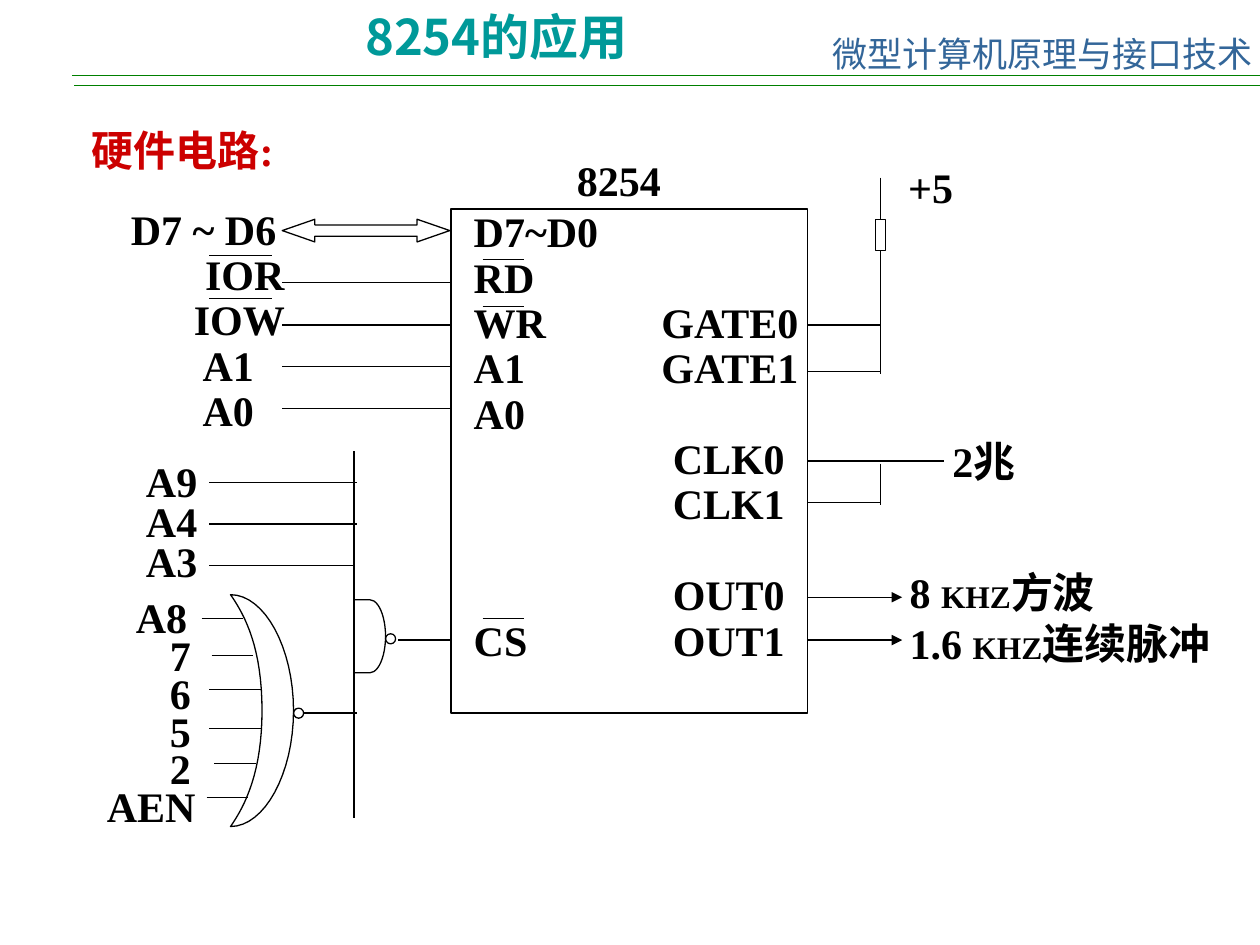
"""Builds the slide with the 8254 hardware circuit."""
from lxml.etree import SubElement
from pptx import Presentation
from pptx.dml.color import RGBColor
from pptx.enum.shapes import MSO_CONNECTOR, MSO_SHAPE
from pptx.enum.text import MSO_ANCHOR, PP_ALIGN
from pptx.oxml.ns import qn
from pptx.util import Inches, Pt

COLORS = {"ink": "000000", "rule": "008000", "header": "336699",
          "heading": "CC0000", "title": "009999"}
SERIF, SANS = "Times New Roman", "Noto Sans CJK SC"


def write(shape, lines, spacing=None, color="ink", font=SERIF, bold=True):
    frame = shape.text_frame
    frame.word_wrap = True
    frame.margin_right = 0
    frame.vertical_anchor = MSO_ANCHOR.TOP
    for number, (indent, runs) in enumerate(lines):
        para = frame.add_paragraph() if number else frame.paragraphs[0]
        para.alignment = PP_ALIGN.LEFT
        para.line_spacing = spacing
        para._p.get_or_add_pPr().set("marL", str(Inches(indent)))
        for text, size in runs:
            span = para.add_run()
            span.text = text
            span.font.size = Pt(size)
            span.font.bold = bold
            span.font.name = font
            span.font.color.rgb = RGBColor.from_string(COLORS[color])
            SubElement(span._r.get_or_add_rPr(), qn("a:ea"), typeface=SANS)


def add_line(x1, y1, x2, y2, color="ink"):
    line = page.shapes.add_connector(
        MSO_CONNECTOR.STRAIGHT, Inches(x1), Inches(y1), Inches(x2), Inches(y2))
    line.line.color.rgb = RGBColor.from_string(COLORS[color])
    line.line.width = Pt(0.75)
    SubElement(line._element.spPr, qn("a:effectLst"))
    return line


deck = Presentation()
deck.slide_width, deck.slide_height = Inches(10), Inches(7.5)
page = deck.slides.add_slide(deck.slide_layouts[6])

add_line(0.59, 0.68, 10, 0.68, "rule")
add_line(0.57, 0.6, 10, 0.6, "rule")

header = page.shapes.add_textbox(Inches(6.45), Inches(0.21), Inches(3.55), Inches(0.28))
write(header, [(0, [("微型计算机原理与接口技术", 20)])], None, "header", SANS, False)
header.text_frame.paragraphs[0].alignment = PP_ALIGN.CENTER
title = page.shapes.add_textbox(Inches(2.32), Inches(0), Inches(2.99), Inches(1.04))
write(title, [(0.48, [("8254的应用", 28)])], None, "title", SANS)
heading = page.shapes.add_textbox(Inches(0.05), Inches(0.94), Inches(2.3), Inches(0.5))
write(heading, [(0.58, [("硬件电路:", 24)])], None, "heading")

outlines = []
for preset, left, top, width, height in [
    (MSO_SHAPE.RECTANGLE, 3.58, 1.66, 2.83, 4),
    (MSO_SHAPE.LEFT_RIGHT_ARROW, 2.24, 1.74, 1.33, 0.18),
    (MSO_SHAPE.FLOWCHART_CONNECTOR, 3.06, 5.03, 0.08, 0.08),
    (MSO_SHAPE.FLOWCHART_DELAY, 2.81, 4.76, 0.25, 0.58),
    (MSO_SHAPE.FLOWCHART_CONNECTOR, 2.33, 5.62, 0.08, 0.08),
    (MSO_SHAPE.RECTANGLE, 6.95, 1.74, 0.08, 0.25),
]:
    outlines.append(page.shapes.add_shape(
        preset, Inches(left), Inches(top), Inches(width), Inches(height)))
chip, bus_arrow = outlines[:2]
bus_arrow.adjustments[0], bus_arrow.adjustments[1] = 0.5, 1.44

gate_curves = [
    [(1.83, 4.72), (1.95, 4.89), (2.08, 5.15), (2.08, 5.64)],
    [(2.08, 5.64), (2.08, 6.12), (1.95, 6.39), (1.83, 6.56)],
    [(1.83, 6.56), (2.1, 6.56), (2.33, 6.14), (2.33, 5.64)],
    [(2.33, 5.64), (2.33, 5.14), (2.1, 4.72), (1.83, 4.72)],
]
steps = 16
gate_points = []
for curve in gate_curves:
    for step in range(1, steps + 1):
        t = step / steps
        weights = [(1 - t) ** 3, 3 * t * (1 - t) ** 2, 3 * t * t * (1 - t), t ** 3]
        gate_points.append([Inches(sum(w * point[axis] for w, point in zip(weights, curve)))
                            for axis in (0, 1)])
builder = page.shapes.build_freeform(Inches(1.83), Inches(4.72), scale=1.0)
builder.add_line_segments(gate_points, close=True)
outlines.append(builder.convert_to_shape())

for outline in outlines:
    outline.shadow.inherit = False
    outline.fill.background()
    outline.line.color.rgb = RGBColor.from_string(COLORS["ink"])
    outline.line.width = Pt(0.75)

pins = ["D7~D0", "RD", "WR\tGATE0", "A1\tGATE1", "A0", "\tCLK0", "\tCLK1",
        "\tOUT0", "CS\tOUT1"]
write(chip, [(0, [(pin, 24)]) for pin in pins], 0.9)
chip.text_frame.margin_left = Inches(0.18)
chip.text_frame.margin_top = Inches(0.02)
for pin, para in zip(pins, chip.text_frame.paragraphs):
    if "\t" in pin:
        stop = Inches(1.49 if "GATE" in pin else 1.58)
        tabs = SubElement(para._p.get_or_add_pPr(), qn("a:tabLst"))
        SubElement(tabs, qn("a:tab"), pos=str(stop), algn="l")
    if pin == "\tOUT0":
        para.space_before = Pt(26)

for left, top, width, height, spacing, labels in [
    (4.48, 1.18, 0.86, 0.5, None, [(0, "8254")]),
    (0.86, 1.61, 1.5, 1.9, 0.9,
     [(0.08, "D7 ~ D6"), (0.67, "IOR"), (0.58, "IOW"), (0.65, "A1"), (0.65, "A0")]),
    (0.5, 3.64, 1.52, 1.06, 0.8, [(0.56, name) for name in ("A9", "A4", "A3")]),
    (0.75, 4.74, 0.9, 2.2, 0.75,
     [(0.23, "A8")] + [(0.5, name) for name in "7652"] + [(0, "AEN")]),
    (7.11, 1.23, 0.55, 0.5, None, [(0, "+5")]),
    (7.46, 3.41, 0.78, 0.5, None, [(0, "2兆")]),
]:
    box = page.shapes.add_textbox(Inches(left), Inches(top), Inches(width), Inches(height))
    write(box, [(indent, [(text, 24)]) for indent, text in labels], spacing)

outputs = page.shapes.add_textbox(Inches(7.12), Inches(4.45), Inches(2.65), Inches(0.9))
write(outputs, [(0, [(rate, 24), ("KHZ", 18), (wave, 24)])
                for rate, wave in (("8 ", "方波"), ("1.6 ", "连续脉冲"))])

for left, right, heights in [
    (2.24, 3.58, (2.24, 2.58, 2.91, 3.24)),
    (3.83, 4.16, (2.06, 2.43, 4.91)),
    (1.66, 2.16, (2.03, 2.37)),
    (1.66, 2.83, (3.83, 4.16)),
    (1.66, 2.81, (4.49,)),
    (3.16, 3.58, (5.08,)),
    (2.41, 2.83, (5.66,)),
    (1.6, 1.93, (4.91,)),
    (1.68, 2.01, (5.2,)),
    (1.66, 2.08, (5.47, 5.78)),
    (1.7, 2.03, (6.06,)),
    (1.64, 1.97, (6.33,)),
    (6.41, 6.99, (2.58, 2.95, 3.99)),
    (6.41, 7.49, (3.66,)),
]:
    for height in heights:
        add_line(left, height, right, height)

for x, top, bottom in [(2.81, 3.58, 6.49), (6.99, 1.41, 1.74),
                       (6.99, 1.99, 2.97), (6.99, 3.68, 4.01)]:
    add_line(x, top, x, bottom)

for y in (4.74, 5.08):
    arrow = add_line(6.41, y, 7.16, y)
    SubElement(arrow.line._get_or_add_ln(), qn("a:tailEnd"), type="triangle")

deck.save("out.pptx")
